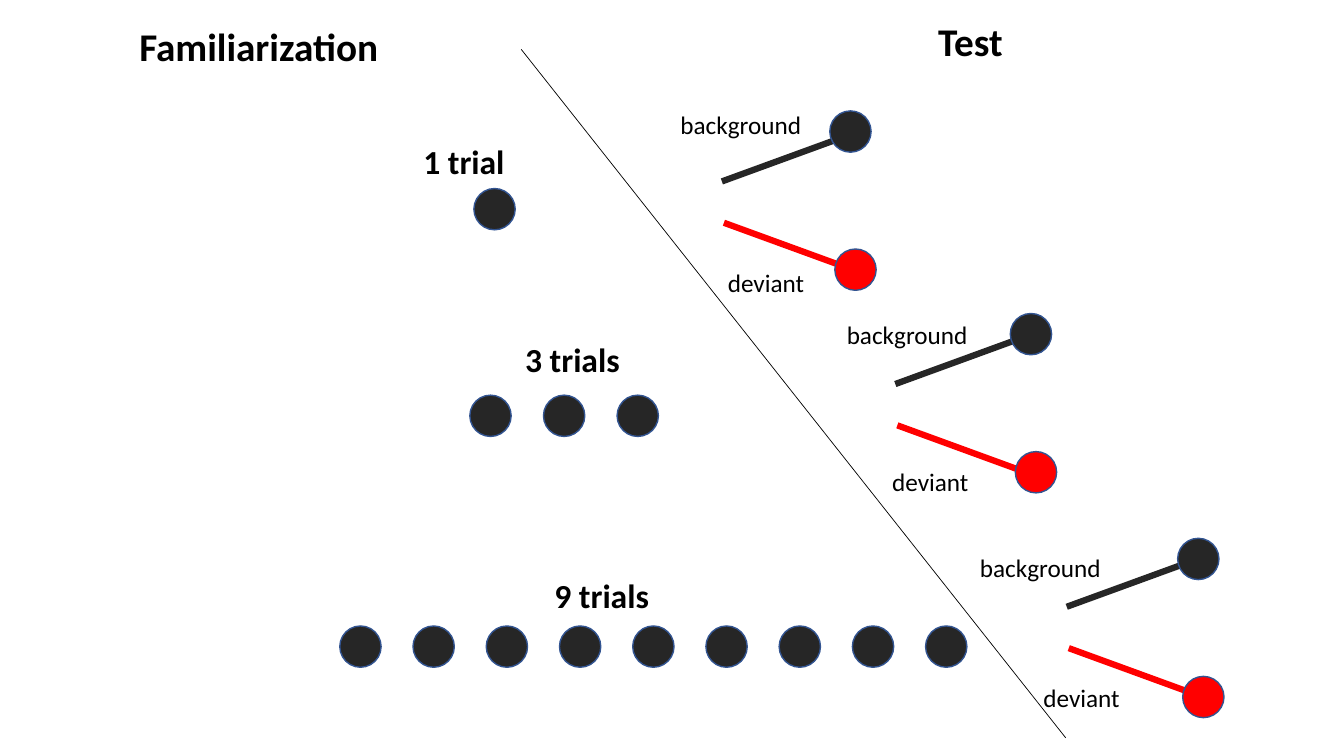
from pptx import Presentation
from pptx import util as u
from pptx.dml.color import RGBColor
from pptx.enum import shapes, text
from pptx.oxml.ns import qn
from lxml import etree

DARK = RGBColor(0x26, 0x26, 0x26)
RED = RGBColor(0xFF, 0, 0)
BLACK = RGBColor(0, 0, 0)
OUTLINE = RGBColor(0x32, 0x54, 0x91)

# The slide is a grid of one-inch cells; every point is (column, row).
COLUMNS, ROWS = 13.33, 7.5
DOT = 0.41
HEADINGS = [("Familiarization", (0.87, 0.17)), ("Test", (7.93, 0.12))]
DIVIDER = (5.17, 0.49), (10.57, 7.32)

# label, label corner, number of dots, first and last dot column, dot row
TRIALS = [
    ("1 trial", (4.1, 1.35), 1, 4.7, 4.7, 1.87),
    ("3 trials", (5.11, 3.31), 3, 4.66, 6.12, 3.92),
    ("9 trials", (5.4, 5.65), 9, 3.37, 9.18, 6.21),
]

# fork start, background label, deviant label, background dot
TESTS = [
    ((7.16, 1.8), (6.65, 1.04), (7.12, 2.6), (8.23, 1.1)),
    ((8.88, 3.81), (8.3, 3.12), (8.75, 4.58), (10.02, 3.11)),
    ((10.58, 6.02), (9.62, 5.43), (10.25, 6.72), (11.68, 5.34)),
]
ARM_RUN, ARM_RISE = 1.26, 0.46
DEVIANT_ARM = 0.02, 0.41
DEVIANT_DOT = 0.05, 1.37


def shift(point, offset):
    return point[0] + offset[0], point[1] + offset[1]


def add_label(words, corner, width, height, size, bold=False, centred=False):
    sp = s.shapes.add_textbox(*map(u.Inches, (*corner, width, height)))
    tf = sp.text_frame
    tf.word_wrap = True
    tf.auto_size = text.MSO_AUTO_SIZE.SHAPE_TO_FIT_TEXT
    p = tf.paragraphs[0]
    p.text = words
    if centred:
        p.alignment = text.PP_ALIGN.CENTER
    r = p.runs[0]
    r.font.name, r.font.size, r.font.bold = "Calibri", u.Pt(size), bold
    r.font.color.rgb = BLACK


def add_dot(parent, corner, color):
    sp = parent.shapes.add_shape(shapes.MSO_SHAPE.OVAL, *map(u.Inches, (*corner, DOT, DOT)))
    sp.shadow.inherit = False
    sp.fill.solid()
    sp.fill.fore_color.rgb = color
    sp.line.color.rgb = OUTLINE
    sp.line.width = u.Pt(1)


def add_line(start, end, color, width, oval_tip=False):
    cx = s.shapes.add_connector(shapes.MSO_CONNECTOR.STRAIGHT, *map(u.Inches, (*start, *end)))
    cx.line.color.rgb = color
    cx.line.width = u.Pt(width)
    spPr = cx.line._get_or_add_ln().getparent()
    if oval_tip:
        etree.SubElement(spPr.find(qn("a:ln")), qn("a:tailEnd"), type="oval")
    etree.SubElement(spPr, qn("a:effectLst"))


prs = Presentation()
prs.slide_width, prs.slide_height = u.Inches(COLUMNS), u.Inches(ROWS)
s = prs.slides.add_slide(prs.slide_layouts[6])

add_line(*DIVIDER, BLACK, 0.5)
for words, corner in HEADINGS:
    add_label(words, corner, 3.39, 0.57, 28, bold=True, centred=True)

for words, corner, count, first, last, row in TRIALS:
    add_label(words, corner, 1.66, 0.5, 24, bold=True)
    parent = s.shapes.add_group_shape() if count > 1 else s
    step = (last - first) / max(count - 1, 1)
    for i in range(count):
        add_dot(parent, (first + i * step, row), DARK)

for fork, background_label, deviant_label, dot in TESTS:
    arms = [
        ("background", background_label, fork, -ARM_RISE, dot, DARK),
        ("deviant", deviant_label, shift(fork, DEVIANT_ARM), ARM_RISE, shift(dot, DEVIANT_DOT), RED),
    ]
    for words, corner, start, rise, dot_corner, color in arms:
        add_line(start, shift(start, (ARM_RUN, rise)), color, 4.5, oval_tip=True)
        add_label(words, corner, 2.48, 0.4, 18)
        add_dot(s, dot_corner, color)

prs.save("out.pptx")
